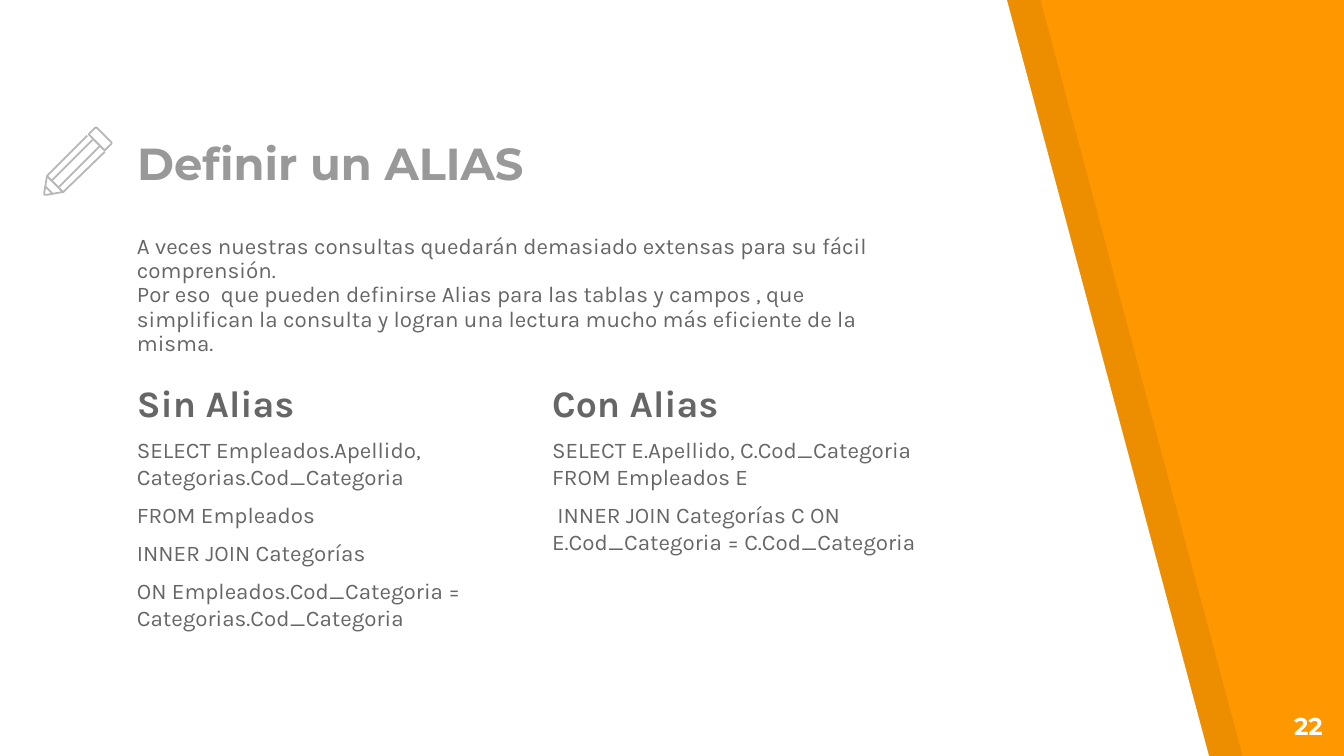
from lxml import etree
from pptx import Presentation
from pptx.dml.color import RGBColor
from pptx.enum.text import MSO_ANCHOR as Anchor, MSO_AUTO_SIZE as AutoSize, PP_ALIGN as Align
from pptx.oxml.ns import qn
from pptx.util import Inches, Pt

ORANGE = RGBColor(0xFF, 0x98, 0x00)
BLACK = RGBColor(0x00, 0x00, 0x00)
WHITE = RGBColor(0xFF, 0xFF, 0xFF)
TITLE_GRAY = RGBColor(0x99, 0x99, 0x99)
TEXT_GRAY = RGBColor(0x66, 0x66, 0x66)
ICON_GRAY = RGBColor(0xB7, 0xB7, 0xB7)

LEFT = 0.92
COLUMN_STEP = 3.09


class SlideBuilder:
    heading_font = "Montserrat"
    body_font = "Karla"
    inset = Inches(0.1)

    def __init__(self, slide):
        self.slide = slide
        self.shapes = slide.shapes

    def background(self, color):
        fill = self.slide.background.fill
        fill.solid()
        fill.fore_color.rgb = color

    def outline(self, points, closed=False):
        corners = [(Inches(x), Inches(y)) for x, y in points]
        builder = self.shapes.build_freeform(*corners[0], scale=1.0)
        builder.add_line_segments(corners[1:], close=closed)
        shape = builder.convert_to_shape()
        shape.shadow.inherit = False
        return shape

    def panel(self, points, color, opacity=100):
        shape = self.outline(points, closed=True)
        shape.fill.solid()
        shape.fill.fore_color.rgb = color
        shape.line.fill.background()
        if opacity < 100:
            color_element = shape.fill._xPr.find(qn("a:solidFill"))[0]
            alpha = etree.SubElement(color_element, qn("a:alpha"))
            alpha.set("val", str(opacity * 1000))

    def stroke(self, points, closed=False):
        shape = self.outline(points, closed)
        shape.fill.background()
        shape.line.color.rgb = ICON_GRAY
        shape.line.width = Pt(0.96)

    def frame(self, shape, anchor=Anchor.TOP):
        frame = shape.text_frame
        frame.word_wrap = True
        frame.auto_size = AutoSize.NONE
        frame.vertical_anchor = anchor
        frame.margin_left = frame.margin_right = self.inset
        frame.margin_top = frame.margin_bottom = self.inset
        return frame

    def style(self, paragraph, font_name, size, color, bold=False, align=Align.LEFT):
        paragraph.alignment = align
        for run in paragraph.runs:
            run.font.name = font_name
            run.font.size = Pt(size)
            run.font.bold = bold
            run.font.color.rgb = color

    def title(self, text, left, top, width, height):
        shape = self.shapes.title
        shape.left, shape.top = Inches(left), Inches(top)
        shape.width, shape.height = Inches(width), Inches(height)
        frame = self.frame(shape, Anchor.BOTTOM)
        frame.text = text
        self.style(frame.paragraphs[0], self.heading_font, 24, TITLE_GRAY, bold=True)
        # Bring the title in front of the panels
        self.shapes._spTree.append(shape._element)

    def text_box(self, lines, left, top, width, height):
        box = self.shapes.add_textbox(Inches(left), Inches(top), Inches(width), Inches(height))
        frame = self.frame(box)
        frame.text = "\n".join(lines)
        return frame.paragraphs

    def body(self, lines, left, top, width, height):
        for paragraph in self.text_box(lines, left, top, width, height):
            paragraph.line_spacing = 0.9
            self.style(paragraph, self.body_font, 12, TEXT_GRAY)

    def column(self, heading, lines, left, top, width, height):
        paragraphs = self.text_box([heading, *lines], left, top, width, height)
        for index, paragraph in enumerate(paragraphs):
            is_heading = index == 0
            paragraph.space_before = Pt(6)
            self.style(paragraph, self.body_font, 20 if is_heading else 12, TEXT_GRAY, is_heading)

    def page_number(self, text, left, top, width, height):
        paragraph = self.text_box([text], left, top, width, height)[0]
        self.style(paragraph, self.heading_font, 13, WHITE, bold=True, align=Align.RIGHT)


def main():
    presentation = Presentation()
    presentation.slide_width = Inches(10)
    presentation.slide_height = Inches(10) * 9 // 16
    builder = SlideBuilder(presentation.slides.add_slide(presentation.slide_layouts[5]))

    # Slanted white page with its shadow band
    builder.background(ORANGE)
    for offset, color, opacity in ((0.25, BLACK, 7), (0, WHITE, 100)):
        page = [(0, -0.01), (0, 5.64), (9, 5.64), (7.49, -0.01)]
        builder.panel([(x + offset, y) for x, y in page], color, opacity)

    # Title and introduction
    builder.title("Definir un ALIAS", LEFT, 0.98, 5.82, 0.53)
    builder.body([
        "A veces nuestras consultas quedarán demasiado extensas para su fácil comprensión.",
        "Por eso  que pueden definirse Alias para las tablas y campos , que simplifican "
        "la consulta y logran una lectura mucho más eficiente de la misma.",
    ], LEFT, 1.65, 5.82, 1.36)

    # Pencil: eraser, body, then the inner lines
    builder.stroke([(0.82, 1.05), (0.73, 0.96), (0.72, 0.95), (0.71, 0.95), (0.7, 0.96),
                    (0.66, 1), (0.78, 1.12), (0.82, 1.08), (0.83, 1.07), (0.83, 1.06)],
                   closed=True)
    builder.stroke([(0.65, 1.01), (0.35, 1.31), (0.33, 1.43), (0.33, 1.45), (0.35, 1.45),
                    (0.46, 1.43), (0.47, 1.43), (0.78, 1.13)])
    for start, end in (
        ((0.74, 1.09), (0.44, 1.39)),
        ((0.39, 1.34), (0.69, 1.04)),
        ((0.39, 1.44), (0.34, 1.39)),
        ((0.35, 1.31), (0.47, 1.43)),
    ):
        builder.stroke([start, end])

    # Query without and with aliases
    columns = (
        ("Sin Alias", [
            "SELECT Empleados.Apellido, Categorias.Cod_Categoria",
            "FROM Empleados",
            "INNER JOIN Categorías",
            "ON Empleados.Cod_Categoria = Categorias.Cod_Categoria",
        ]),
        ("Con Alias", [
            "SELECT E.Apellido, C.Cod_Categoria FROM Empleados E",
            " INNER JOIN Categorías C ON E.Cod_Categoria = C.Cod_Categoria",
        ]),
    )
    for index, (heading, lines) in enumerate(columns):
        builder.column(heading, lines, LEFT + index * COLUMN_STEP, 2.73, 2.92, 2.66)

    # Page number
    builder.page_number("22", 9.34, 5.19, 0.6, 0.43)

    presentation.save("out.pptx")


if __name__ == "__main__":
    main()
